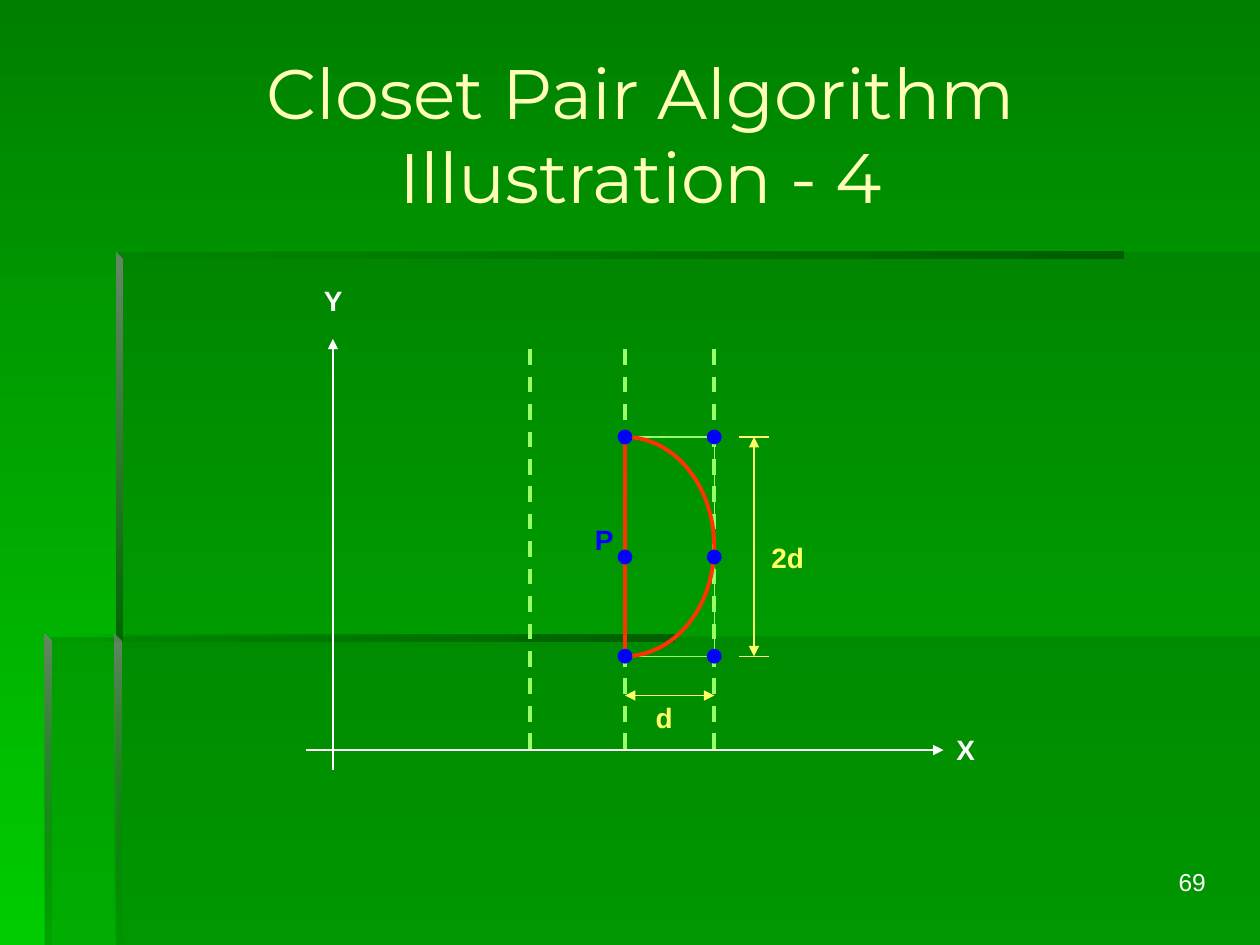
from math import cos, pi, sin

from lxml.etree import SubElement
from pptx import Presentation
from pptx.dml.color import RGBColor
from pptx.enum.dml import MSO_LINE
from pptx.enum.shapes import MSO_CONNECTOR, MSO_SHAPE
from pptx.enum.text import MSO_ANCHOR, PP_ALIGN
from pptx.oxml.ns import qn
from pptx.util import Cm, Pt

COLORS = {
    "bg_top": "008000", "bg_bottom": "00CC00", "panel": "006600",
    "bar_dark": "005E00", "bar_light": "668666", "title": "FFFFB7",
    "white": "FFFFFF", "strip": "99FF66", "curve": "FF3300",
    "point": "0000FF", "measure": "FFFF66",
}
PAGE_W, PAGE_H = 25.4, 19.05


def rgb(name):
    return RGBColor.from_string(COLORS[name])


def set_alpha(color_element, percent):
    SubElement(color_element, qn("a:alpha")).set("val", str(percent * 1000))


def set_gradient(fill, names, angle):
    fill.gradient()
    fill.gradient_angle = angle
    for stop, name in zip(fill.gradient_stops, names):
        stop.color.rgb = rgb(name)


def add_run(tf, text, size, color, font="Arial", bold=False, align=PP_ALIGN.CENTER):
    p = tf.paragraphs[0]
    p.alignment = align
    r = p.add_run()
    r.text = text
    r.font.name, r.font.size, r.font.bold = font, Pt(size), bold
    r.font.color.rgb = rgb(color)


def add_outline(s, points, close=True):
    (x, y), *rest = [(Cm(x), Cm(y)) for x, y in points]
    builder = s.shapes.build_freeform(x, y)
    builder.add_line_segments(rest, close=close)
    sp = builder.convert_to_shape()
    sp.shadow.inherit = False
    return sp


def add_panel(s, points):
    sp = add_outline(s, points)
    sp.line.fill.background()
    sp.fill.solid()
    sp.fill.fore_color.rgb = rgb("panel")
    set_alpha(next(sp.element.spPr.iter(qn("a:srgbClr"))), 30)


def add_bar(s, left, top, length, names, alphas, vertical=False):
    """Thin gradient edge; a vertical one has a mitred top corner."""
    t = 0.14
    if vertical:
        points = [(left, top), (left, top + length),
                  (left + t, top + length), (left + t, top + t)]
    else:
        points = [(left, top), (left, top + t),
                  (left + length, top + t), (left + length, top)]
    sp = add_outline(s, points)
    sp.line.fill.background()
    set_gradient(sp.fill, names, 270 if vertical else 0)
    for color, alpha in zip(list(sp.element.spPr.iter(qn("a:srgbClr"))), alphas):
        if alpha < 100:
            set_alpha(color, alpha)


def add_backdrop(s):
    set_gradient(s.background.fill, ("bg_top", "bg_bottom"), 270)
    add_panel(s, [(2.34, 12.83), (2.34, PAGE_H), (PAGE_W, PAGE_H), (PAGE_W, 12.83)])
    add_panel(s, [(2.39, 12.85), (0.91, 12.85), (0.91, PAGE_H),
                  (PAGE_W, PAGE_H), (PAGE_W, 5.08), (2.39, 5.08)])
    across, down = ("panel", "bar_dark"), ("bar_light", "panel")
    add_bar(s, 2.34, 5.08, 20.3, across, (0, 100))
    add_bar(s, 2.34, 5.08, 7.87, down, (100, 100), vertical=True)
    add_bar(s, 2.31, 12.8, 6.25, down, (100, 0), vertical=True)
    add_bar(s, 0.89, 12.8, 12.7, across, (0, 100))
    add_bar(s, 0.89, 12.8, 6.25, down, (100, 10), vertical=True)


def add_title(s, left, top, width, height):
    title = s.shapes.title
    title.left, title.top = Cm(left), Cm(top)
    title.width, title.height = Cm(width), Cm(height)
    title.text_frame.vertical_anchor = MSO_ANCHOR.MIDDLE
    add_run(title.text_frame, "Closet Pair Algorithm Illustration - 4", 40,
            "title", font="Montserrat")


def add_page_number(s, left, top, width, height):
    tf = s.shapes.add_textbox(Cm(left), Cm(top), Cm(width), Cm(height)).text_frame
    tf.word_wrap = True
    add_run(tf, "69", 14, "white", align=PP_ALIGN.RIGHT)


def add_diagram(s, left, top):
    """Axes, strip of width 2d around the split line, and the half disc at P."""
    columns = split_left, split, right = 4.52, 6.43, 8.23
    high, middle, low = 3.09, 5.51, 7.51
    axis_y, measure_x, measure_y = 9.4, 9.03, 8.3

    def line(x1, y1, x2, y2, color, width, ends=(), dashed=False):
        c = s.shapes.add_connector(MSO_CONNECTOR.STRAIGHT, Cm(left + x1), Cm(top + y1),
                                   Cm(left + x2), Cm(top + y2))
        c.line.color.rgb = rgb(color)
        c.line.width = Pt(width)
        if dashed:
            c.line.dash_style = MSO_LINE.DASH
        for end in ends:
            SubElement(c.line._get_or_add_ln(), qn(f"a:{end}")).set("type", "triangle")
        SubElement(c.element.spPr, qn("a:effectLst"))

    def dot(x, y, size=0.3):
        sp = s.shapes.add_shape(MSO_SHAPE.OVAL, Cm(left + x - size / 2),
                                Cm(top + y - size / 2), Cm(size), Cm(size))
        sp.shadow.inherit = False
        sp.fill.solid()
        sp.fill.fore_color.rgb = rgb("point")
        sp.line.fill.background()

    def label(text, center, y, color, width=0.38):
        box = s.shapes.add_textbox(Cm(left + center - width / 2), Cm(top + y),
                                   Cm(width), Cm(0.69))
        tf = box.text_frame
        tf.margin_left = tf.margin_right = tf.margin_top = tf.margin_bottom = 0
        tf.word_wrap = False
        add_run(tf, text, 16, color, bold=True)

    def half_disc(steps=48):
        radius_x, radius_y = right - split, (low - high) / 2
        angles = [pi * i / steps - pi / 2 for i in range(steps + 1)]
        sp = add_outline(s, [(left + split + radius_x * cos(a),
                              top + high + radius_y * (1 + sin(a))) for a in angles])
        sp.fill.background()
        sp.line.color.rgb = rgb("curve")
        sp.line.width = Pt(2.25)

    both = ("headEnd", "tailEnd")
    for x in columns:
        line(x, 1.32, x, 9.39, "strip", 2.25, dashed=True)
    line(right, high, right, low, "strip", 0.75)
    for y in (low, high):
        line(split, y, right, y, "strip", 0.75)
    half_disc()

    line(0.54, 1.11, 0.54, 9.8, "white", 1.5, ("headEnd",))
    label("Y", 0.55, 0, "white")
    line(0, axis_y, 12.85, axis_y, "white", 1.5, ("tailEnd",))
    label("X", 13.3, 9.04, "white")

    for x in (split, right):
        for y in (high, middle, low):
            dot(x, y)
    label("P", 6.01, 4.82, "point")

    line(split, measure_y, right, measure_y, "measure", 0.75, both)
    label("d", 7.22, 8.4, "measure")
    line(measure_x, high, measure_x, low, "measure", 0.75, both)
    label("2d", 9.71, 5.18, "measure", width=0.66)
    for y in (low, high):
        line(measure_x - 0.3, y, measure_x + 0.3, y, "measure", 0.75)


def main():
    prs = Presentation()
    prs.slide_width, prs.slide_height = Cm(PAGE_W), Cm(PAGE_H)
    s = prs.slides.add_slide(prs.slide_layouts[5])
    add_backdrop(s)
    add_page_number(s, 19.28, 17.35, 5.28, 1.32)
    add_title(s, 1.27, 0.69, 23.29, 3.99)
    add_diagram(s, 6.17, 5.72)
    prs.save("out.pptx")


if __name__ == "__main__":
    main()
